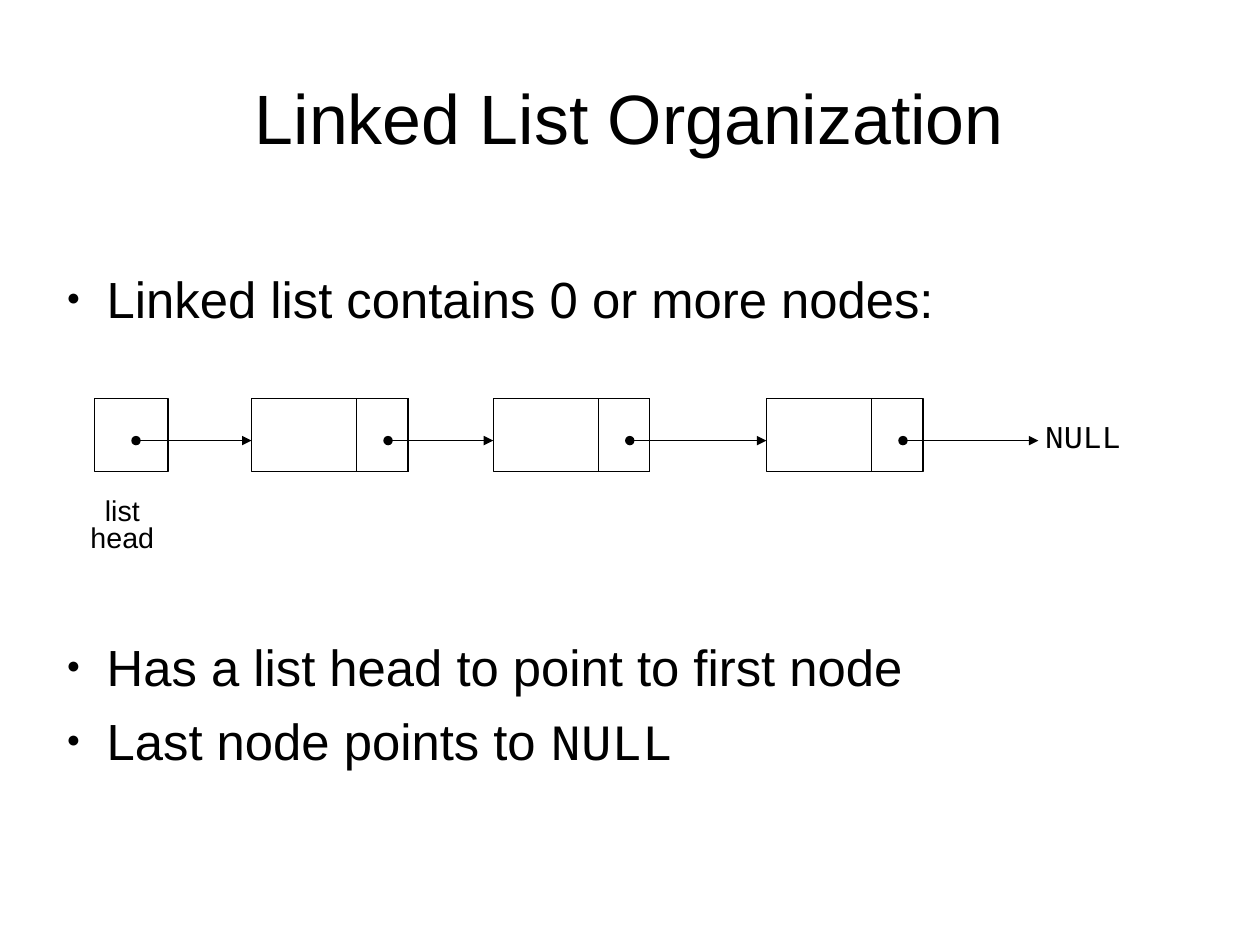
from lxml.etree import SubElement
from pptx import Presentation
from pptx.dml.color import RGBColor
from pptx.enum.shapes import MSO_CONNECTOR, MSO_SHAPE
from pptx.enum.text import MSO_ANCHOR, PP_ALIGN
from pptx.oxml.ns import qn
from pptx.util import Cm, Inches, Pt

BLACK = RGBColor(0, 0, 0)
SANS, MONO = "Arial", "Courier New"

# Content: each bullet has its space before and its (text, font) runs
TITLE = "Linked List Organization"
BULLETS = [
    (0, [("Linked list contains 0 or more nodes:", SANS)]),
    (193.5, [("Has a list head to point to first node", SANS)]),
    (8, [("Last node points to ", SANS), ("NULL", MONO)]),
]
HEAD_LABEL = ["list", "head"]
END_LABEL = ["NULL"]

# Grid of tenth-inch columns and rows
UNIT = Inches(0.1)
HEAD_LEFT, NODE_LEFTS, END_LEFT = 8.3, [22, 43.15, 67.05], 90.85
BOX_TOP, BOX_SIDE = 34.85, 6.4
NODE_WIDTH, POINTER_WIDTH = 13.7, 4.5
HEAD_DOT, NODE_DOT = 3.6, 11.95  # dot offsets from the left of a box
ARROW_ROW = 38.55


def grid(*values):
    return [round(value * UNIT) for value in values]


def add_text(slide, place, lines, size, font, line_spacing=1.0, wrap=False):
    frame = slide.shapes.add_textbox(*grid(*place)).text_frame
    frame.word_wrap = wrap
    for index, line in enumerate(lines):
        paragraph = frame.add_paragraph() if index else frame.paragraphs[0]
        paragraph.text = line
        paragraph.alignment = PP_ALIGN.CENTER
        paragraph.line_spacing = line_spacing
        paragraph.font.size, paragraph.font.name = Pt(size), font
        paragraph.font.color.rgb = BLACK
    return frame


def add_bullets(slide, place):
    frame = slide.shapes.add_textbox(*grid(*place)).text_frame
    frame.word_wrap = True
    frame.margin_top = 0
    for index, (space, runs) in enumerate(BULLETS):
        paragraph = frame.add_paragraph() if index else frame.paragraphs[0]
        properties = paragraph._p.get_or_add_pPr()
        properties.set("marL", str(Inches(0.47)))
        properties.set("indent", str(-Inches(0.35)))
        SubElement(properties, qn("a:buSzPct"), val="45000")
        SubElement(properties, qn("a:buFont"), typeface=SANS)
        SubElement(properties, qn("a:buChar"), char="●")
        paragraph.space_before = Pt(space)
        paragraph.font.size = Pt(32)
        paragraph.font.color.rgb = BLACK
        for text, font in runs:
            run = paragraph.add_run()
            run.text, run.font.name = text, font


def add_box(slide, left, width):
    shape = slide.shapes.add_shape(
        MSO_SHAPE.RECTANGLE, *grid(left, BOX_TOP, width, BOX_SIDE))
    shape.shadow.inherit = False
    shape.fill.background()
    shape.line.color.rgb, shape.line.width = BLACK, Pt(0.75)


def add_pointer(slide, start, end):
    arrow = slide.shapes.add_connector(
        MSO_CONNECTOR.STRAIGHT, *grid(start, ARROW_ROW, end, ARROW_ROW))
    arrow.line.color.rgb, arrow.line.width = BLACK, Pt(0.75)
    line = arrow.line._get_or_add_ln()
    SubElement(line, qn("a:headEnd"), type="oval")
    SubElement(line, qn("a:tailEnd"), type="triangle")
    SubElement(arrow._element.spPr, qn("a:effectLst"))


def main():
    presentation = Presentation()
    presentation.slide_width = Cm(28)
    presentation.slide_height = Cm(21)
    slide = presentation.slides.add_slide(presentation.slide_layouts[6])

    # Title and bullets
    title = add_text(slide, (5.5, 3.3, 99.2, 13.8), [TITLE], 44, SANS, wrap=True)
    title.vertical_anchor = MSO_ANCHOR.MIDDLE
    add_bullets(slide, (3.65, 23.4, 100, 54))

    # List head and nodes, each node with its pointer field
    add_box(slide, HEAD_LEFT, BOX_SIDE)
    for left in NODE_LEFTS:
        add_box(slide, left, NODE_WIDTH)
        add_box(slide, left + NODE_WIDTH - POINTER_WIDTH, POINTER_WIDTH)

    # Pointers from each box to the next one
    starts = [HEAD_LEFT + HEAD_DOT] + [left + NODE_DOT for left in NODE_LEFTS]
    for start, end in zip(starts, NODE_LEFTS + [END_LEFT]):
        add_pointer(slide, start, end)

    # Diagram labels
    add_text(slide, (90.4, 35.3, 8.7, 5), END_LABEL, 20, MONO, 1.2)
    add_text(slide, (4.6, 43.2, 12.2, 5.8), HEAD_LABEL, 18, SANS, 0.8)

    presentation.save("out.pptx")


if __name__ == "__main__":
    main()
